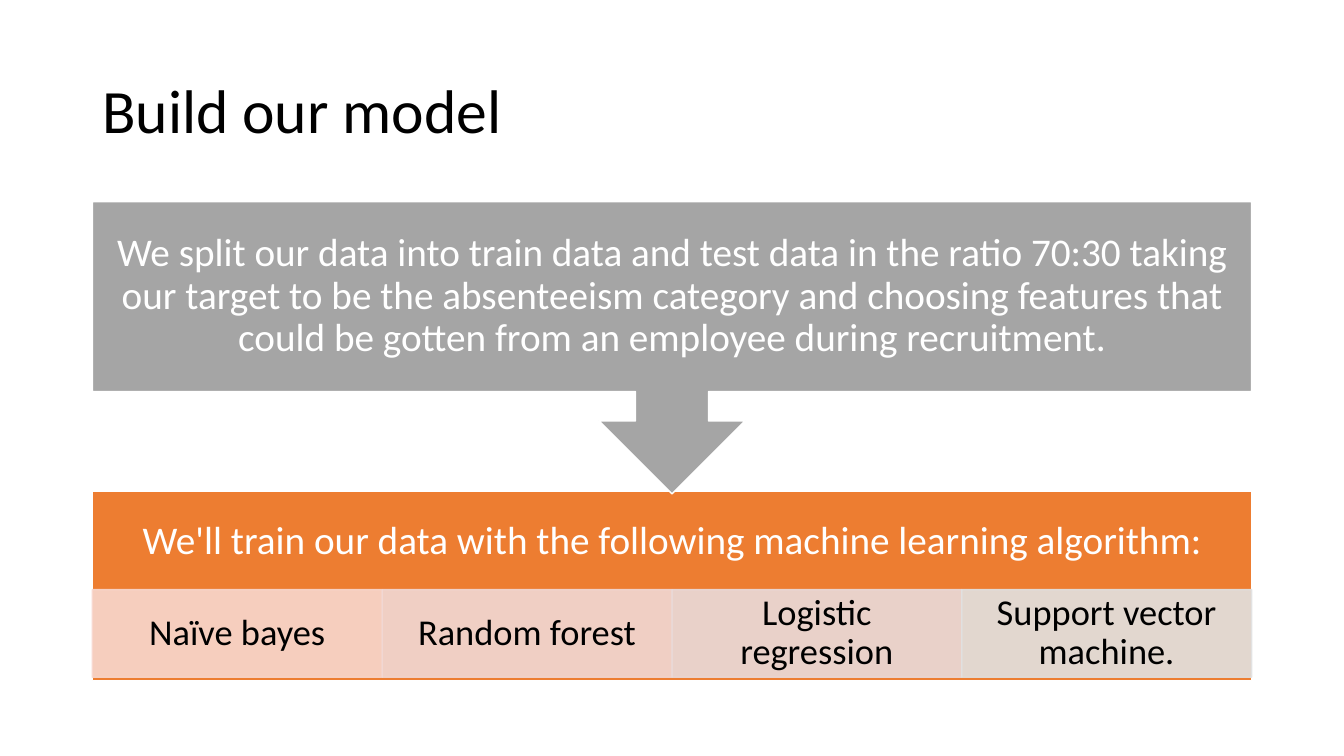
"""Build the slide that shows the data split and the algorithms for the model."""
from lxml.etree import SubElement
from pptx import Presentation
from pptx.dml.color import RGBColor
from pptx.enum.shapes import MSO_SHAPE
from pptx.enum.text import MSO_ANCHOR, PP_ALIGN
from pptx.oxml.ns import qn
from pptx.util import Pt

COLORS = {
    "black": "000000",
    "white": "FFFFFF",
    "gray": "A5A5A5",
    "orange": "ED7D31",
}
ALGORITHMS = [
    ("Naïve bayes", "F8D7CE"),
    ("Random forest", "F1D8D4"),
    ("Logistic regression", "E9DBDA"),
    ("Support vector machine.", "E1E1E1"),
]
LEFT, WIDTH = 66, 828
CELL_WIDTH = WIDTH / len(ALGORITHMS)

presentation = Presentation()
presentation.slide_width = Pt(960)
presentation.slide_height = Pt(540)
slide = presentation.slides.add_slide(presentation.slide_layouts[6])


def add_block(kind, left, top, width, height, fill, line):
    shape = slide.shapes.add_shape(kind, Pt(left), Pt(top), Pt(width), Pt(height))
    shape.shadow.inherit = False
    shape.fill.solid()
    shape.fill.fore_color.rgb = RGBColor.from_string(fill)
    shape.line.color.rgb = RGBColor.from_string(line)
    shape.line.width = Pt(1)
    return shape


def write_text(shape, text, size=28, color="white", align=PP_ALIGN.CENTER, inset_x=15.6, inset_y=15.6):
    frame = shape.text_frame
    frame.word_wrap = True
    frame.vertical_anchor = MSO_ANCHOR.MIDDLE
    frame.margin_left = frame.margin_right = Pt(inset_x)
    frame.margin_top = frame.margin_bottom = Pt(inset_y)
    paragraph = frame.paragraphs[0]
    paragraph.text = text
    paragraph.alignment = align
    paragraph.line_spacing = 0.9
    paragraph.font.name = "Calibri"
    paragraph.font.size = Pt(size)
    paragraph.font.color.rgb = RGBColor.from_string(COLORS[color])


title = slide.shapes.add_textbox(Pt(LEFT), Pt(28.75), Pt(WIDTH), Pt(104.4))
write_text(title, "Build our model", size=44, color="black", align=PP_ALIGN.LEFT, inset_x=7.2, inset_y=3.6)

add_block(MSO_SHAPE.RECTANGLE, LEFT, 350.6, WIDTH, 135.4, COLORS["orange"], COLORS["white"])
training = slide.shapes.add_textbox(Pt(LEFT), Pt(350.6), Pt(WIDTH), Pt(73.4))
write_text(training, "We'll train our data with the following machine learning algorithm:")

for index, (algorithm, tint) in enumerate(ALGORITHMS):
    cell = add_block(MSO_SHAPE.RECTANGLE, LEFT + index * CELL_WIDTH, 421.2, CELL_WIDTH, 62.6, tint, tint)
    for color_element in cell.element.spPr.iter(qn("a:srgbClr")):
        SubElement(color_element, qn("a:alpha"), val="90000")
    write_text(cell, algorithm, size=26, color="black", inset_x=14.4, inset_y=2.6)

callout = add_block(MSO_SHAPE.UP_ARROW_CALLOUT, LEFT, 144, WIDTH, 208.8, COLORS["gray"], COLORS["white"])
callout.rotation = 180
split = slide.shapes.add_textbox(Pt(LEFT), Pt(144), Pt(WIDTH), Pt(135.4))
write_text(
    split,
    "We split our data into train data and test data in the ratio 70:30 taking our target to be "
    "the absenteeism category and choosing features that could be gotten from an employee during recruitment.",
)

presentation.save("out.pptx")
